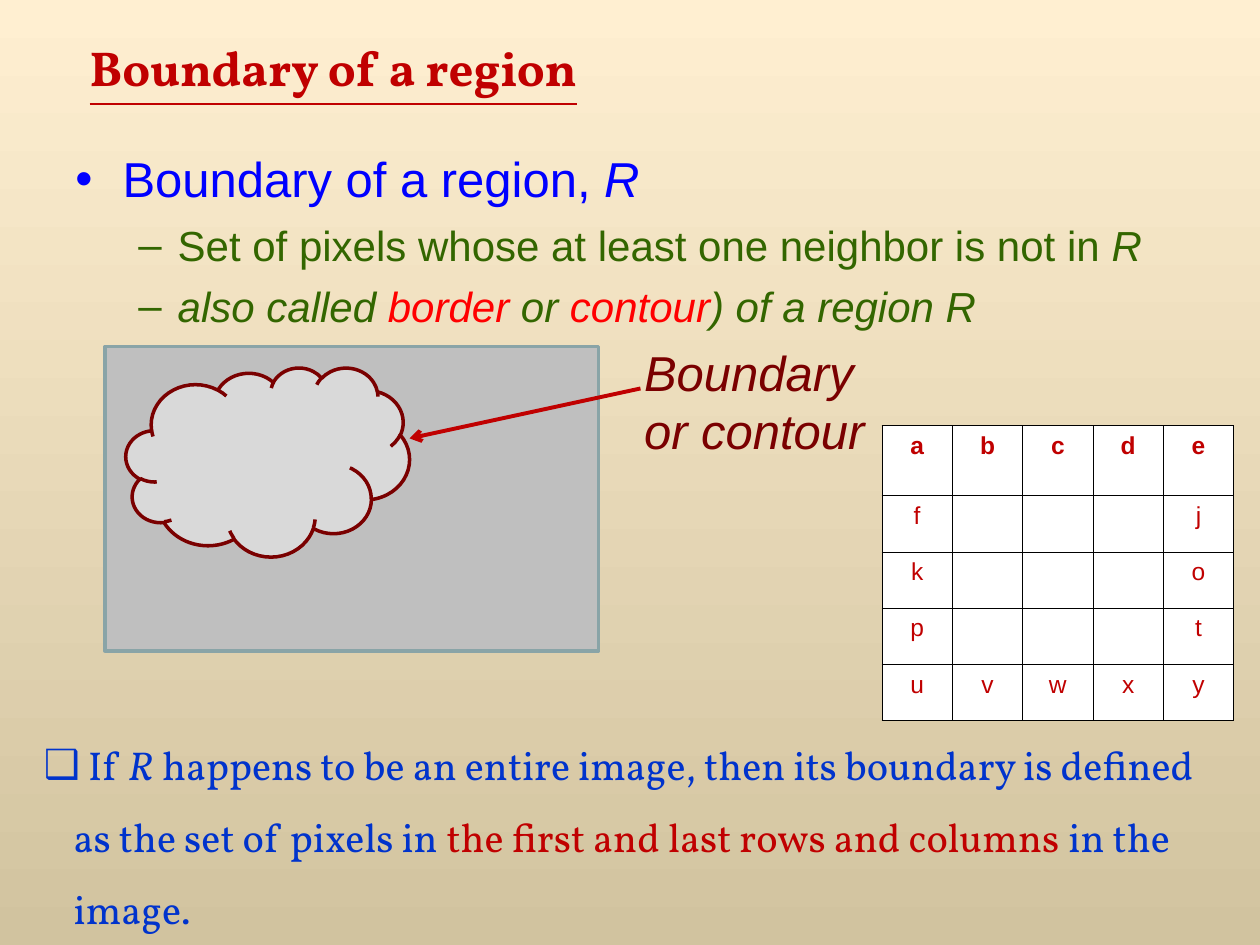
from lxml.etree import SubElement
from pptx import Presentation
from pptx.dml.color import RGBColor
from pptx.enum.shapes import MSO_CONNECTOR, MSO_SHAPE as Shape
from pptx.enum.text import MSO_ANCHOR as Anchor, PP_ALIGN as Align
from pptx.oxml.ns import qn
from pptx.util import Pt

HEX = {
    "top": "FFEFD1", "base": "D1C39F", "title": "C00000", "blue": "0000FF",
    "green": "336600", "red": "FF0000", "image": "BFBFBF", "frame": "89A4A7",
    "region": "D9D9D9", "edge": "7A0000", "note": "0033CC",
    "white": "FFFFFF", "black": "000000",
}
TITLE = "Boundary of a region"
# A run is (text, italic, colour); None keeps the colour of the paragraph.
POINTS = [
    dict(mark="•", size=28, hue="blue", left=27, hang=27, gap=0,
         runs=[("Boundary of a region, ", False, None), ("R", True, None)]),
    dict(mark="–", size=24, hue="green", left=58.5, hang=22.5, gap=7,
         runs=[("Set of pixels whose at least one neighbor is not in ", False, None),
               ("R", True, None)]),
    dict(mark="–", size=24, hue="green", left=58.5, hang=22.5, gap=6,
         runs=[("also called ", True, None), ("border", True, "red"),
               (" or ", True, None), ("contour", True, "red"),
               (") of a region R", True, None)]),
]
NOTE = [dict(
    mark="❑", size=23, hue="note", left=17, hang=17, gap=0, face="Vollkorn", lines=1.5,
    runs=[(" If ", False, None), ("R", True, None),
          (" happens to be an entire image, then its boundary is defined as the "
           "set of pixels in ", False, None),
          ("the first and last rows and columns ", False, "title"),
          ("in the image.", False, None)])]
LABEL = "Boundary or contour"
GRID = ["abcde", "f   j", "k   o", "p   t", "uvwxy"]
GRID_BOX = (504, 243.2, 201, 168.8)
HEAD_ROW, ROW = 40, 32.2


def rgb(name):
    return RGBColor.from_string(HEX[name])


def pts(*nums):
    return [Pt(n) for n in nums]


def style(font, size, hue, face="Arial", bold=False, italic=None):
    font.size, font.name, font.bold, font.italic = Pt(size), face, bold, italic
    font.color.rgb = rgb(hue)


def add_text(slide, box):
    frame = slide.shapes.add_textbox(*pts(*box)).text_frame
    frame.word_wrap = True
    return frame


def add_bullet(para, item):
    props = para._p.get_or_add_pPr()
    props.set("marL", str(Pt(item["left"])))
    props.set("indent", str(-Pt(item["hang"])))
    tint = SubElement(props, qn("a:buClr"))
    SubElement(tint, qn("a:srgbClr"), val=HEX[item["hue"]])
    SubElement(props, qn("a:buFont"), typeface="Arial")
    SubElement(props, qn("a:buChar"), char=item["mark"])


def fill_list(frame, items):
    for num, item in enumerate(items):
        para = frame.add_paragraph() if num else frame.paragraphs[0]
        add_bullet(para, item)
        para.space_before = Pt(item["gap"])
        para.line_spacing = item.get("lines", 1.0)
        style(para.font, item["size"], item["hue"], item.get("face", "Arial"))
        for text, slant, hue in item["runs"]:
            run = para.add_run()
            run.text = text
            run.font.italic = slant
            if hue:
                run.font.color.rgb = rgb(hue)


def add_block(slide, kind, box, fill, line):
    shape = slide.shapes.add_shape(kind, *pts(*box))
    shape.shadow.inherit = False
    shape.fill.solid()
    shape.fill.fore_color.rgb = rgb(fill)
    shape.line.color.rgb = rgb(line)
    shape.line.width = Pt(2)


def add_arrow(slide, start, end):
    arrow = slide.shapes.add_connector(MSO_CONNECTOR.STRAIGHT, *pts(*start, *end))
    arrow.line.color.rgb = rgb("title")
    arrow.line.width = Pt(2.25)
    props = arrow.element.spPr
    SubElement(props.find(qn("a:ln")), qn("a:tailEnd"), type="arrow")
    SubElement(props, qn("a:effectLst"))


def add_borders(cell):
    props = cell._tc.get_or_add_tcPr()
    for num, side in enumerate(("lnL", "lnR", "lnT", "lnB")):
        line = props.makeelement(qn("a:" + side), {"w": str(Pt(0.45))})
        fill = SubElement(line, qn("a:solidFill"))
        SubElement(fill, qn("a:srgbClr"), val=HEX["black"])
        props.insert(num, line)


def add_grid(slide):
    table = slide.shapes.add_table(len(GRID), len(GRID[0]), *pts(*GRID_BOX)).table
    for col in table.columns:
        col.width = Pt(GRID_BOX[2] / len(GRID[0]))
    for r, line in enumerate(GRID):
        table.rows[r].height = Pt(ROW if r else HEAD_ROW)
        for c, mark in enumerate(line):
            cell = table.cell(r, c)
            cell.margin_left = cell.margin_right = Pt(6)
            cell.fill.solid()
            cell.fill.fore_color.rgb = rgb("white")
            add_borders(cell)
            cell.text = mark.strip()
            para = cell.text_frame.paragraphs[0]
            para.alignment = Align.CENTER
            style(para.font, 14, "title", bold=r == 0)


def set_title(slide):
    title = slide.shapes.title
    title.left, title.top, title.width, title.height = pts(44, 18, 312.5, 41)
    frame = title.text_frame
    frame.text = TITLE
    frame.word_wrap = False
    frame.vertical_anchor = Anchor.TOP
    para = frame.paragraphs[0]
    para.alignment = Align.LEFT
    style(para.font, 28, "title", "Vollkorn", bold=True)
    para.font.underline = True


def main():
    deck = Presentation()
    deck.slide_width, deck.slide_height = pts(720, 540)
    slide = deck.slides.add_slide(deck.slide_layouts[5])
    back = slide.background.fill
    back.gradient()
    back.gradient_angle = 270
    for stop, name in zip(back.gradient_stops, ("top", "base")):
        stop.color.rgb = rgb(name)

    set_title(slide)
    points = add_text(slide, (36, 78, 648, 180))
    points.margin_top = Pt(7)
    fill_list(points, POINTS)

    add_block(slide, Shape.RECTANGLE, (60, 198, 282, 174), "image", "frame")
    add_block(slide, Shape.CLOUD, (72, 210, 162, 108), "region", "edge")
    label = add_text(slide, (361, 192, 156, 75))
    label.text = LABEL
    style(label.paragraphs[0].font, 28, "edge", italic=True)
    add_arrow(slide, (366, 222), (234, 250.5))

    fill_list(add_text(slide, (18, 405.5, 696, 132)), NOTE)
    add_grid(slide)
    deck.save("out.pptx")


if __name__ == "__main__":
    main()
